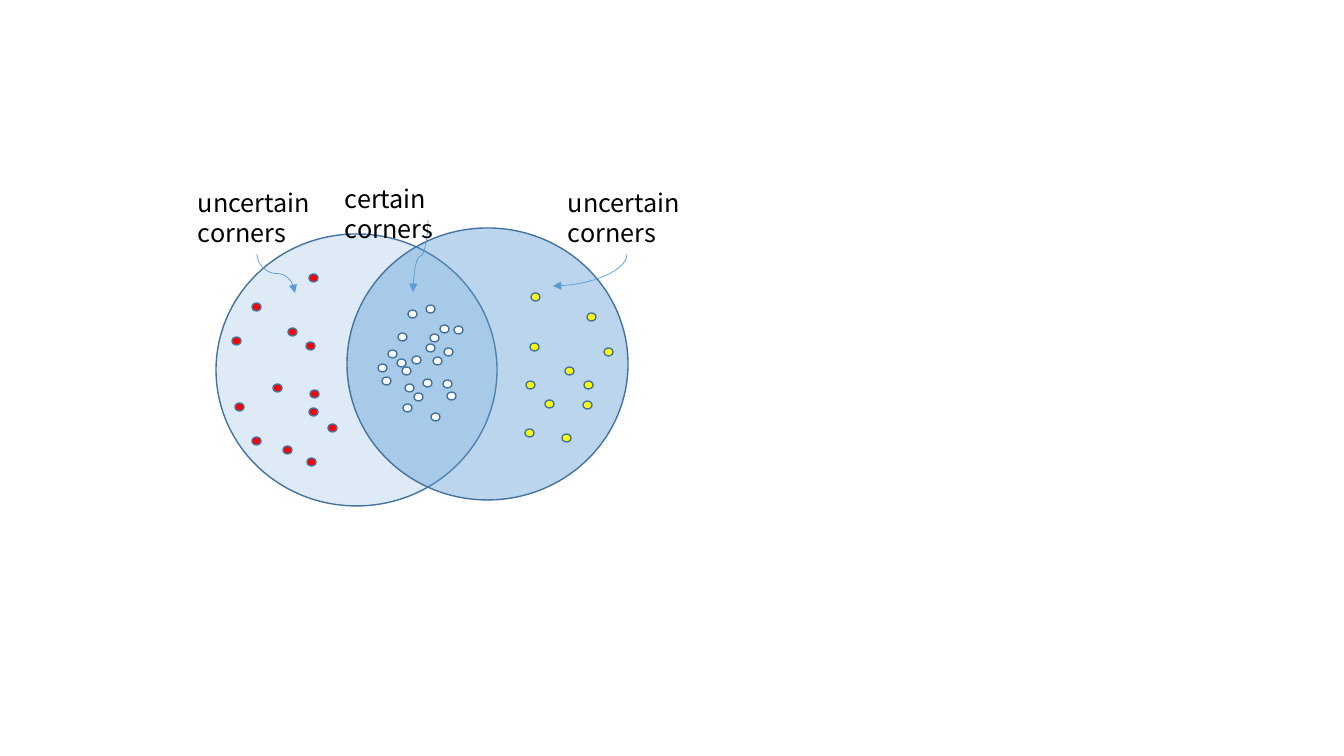
"""Build a slide showing certain and uncertain corners as two overlapping sets."""
from dataclasses import dataclass
from typing import Any

from lxml import etree
from pptx import Presentation
from pptx.dml.color import RGBColor
from pptx.enum.shapes import MSO_CONNECTOR, MSO_SHAPE
from pptx.enum.text import MSO_AUTO_SIZE
from pptx.oxml.ns import qn
from pptx.shapes.autoshape import Shape
from pptx.shapes.shapetree import GroupShapes
from pptx.util import Emu, Pt

CIRCLE = MSO_SHAPE.OVAL
DOT = MSO_SHAPE.FLOWCHART_CONNECTOR
CURVE = MSO_CONNECTOR.CURVE
GROW = MSO_AUTO_SIZE.SHAPE_TO_FIT_TEXT
SCALE = 914400 / 100.8
DOT_SIZE = (9, 8)
CIRCLE_SIZE = (281, 272)
COLOURS = {
    "pale": "DEEBF7", "blue": "5B9BD5", "outline": "43739E", "black": "000000",
    "white": "FFFFFF", "red": "FF0000", "yellow": "FFFF00",
}
FONT_FORMAT = {"name": "Noto Sans CJK SC", "size": Pt(18)}
FRAME_FORMAT = {"word_wrap": True, "auto_size": GROW}


@dataclass(frozen=True)
class CornerSet:
    colour: str
    places: list[tuple[int, int]]


@dataclass(frozen=True)
class Label:
    lines: list[str]
    left: int
    top: int
    width: int
    height: int


@dataclass(frozen=True)
class Arrow:
    start: tuple[int, int]
    end: tuple[int, int]
    preset: str = "curvedConnector3"


CORNER_SETS = [
    CornerSet("red", [
        (309, 274), (306, 342), (252, 303), (273, 384), (232, 337), (283, 446), (288, 328),
        (309, 408), (328, 424), (310, 390), (307, 458), (252, 437), (235, 403),
    ]),
    CornerSet("white", [
        (444, 348), (426, 305), (423, 379), (398, 333), (414, 393), (397, 359), (433, 357),
        (408, 310), (405, 384), (388, 350), (403, 404), (378, 364), (440, 325), (412, 356),
        (447, 392), (430, 334), (402, 367), (454, 326), (431, 413), (443, 380), (426, 344),
        (382, 377),
    ]),
    CornerSet("yellow", [
        (604, 348), (587, 313), (584, 381), (531, 293), (530, 343), (583, 401), (565, 367),
        (562, 434), (545, 400), (526, 381), (525, 429),
    ]),
]
ARROWS = [
    Arrow((627, 254), (553, 286), "curvedConnector2"),
    Arrow((428, 220), (413, 292)),
    Arrow((257, 254), (295, 293)),
]
LABELS = [
    Label(["uncertain", "corners"], 188, 182, 137, 72),
    Label(["uncertain", "corners"], 558, 182, 137, 72),
    Label(["certain corners"], 335, 178, 186, 40),
]


def px(value: float) -> Emu:
    """Turn pixels into EMU."""
    return Emu(round(value * SCALE))


def colour(name: str) -> RGBColor:
    """Look up a named colour."""
    return RGBColor.from_string(COLOURS[name])


def apply_format(target: Any, values: dict[str, Any]) -> None:
    """Set each format value on the target."""
    for name, value in values.items():
        setattr(target, name, value)


def draw_shape(shapes: GroupShapes, kind: MSO_SHAPE, place: tuple[int, int],
               size: tuple[int, int], fill: str) -> Shape:
    """Draw a filled, outlined preset shape."""
    shape = shapes.add_shape(kind, *map(px, (*place, *size)))
    shape.shadow.inherit = False
    shape.fill.solid()
    shape.fill.fore_color.rgb = colour(fill)
    shape.line.color.rgb = colour("outline")
    shape.line.width = Pt(1)
    return shape


def set_opacity(shape: Shape, percent: int) -> None:
    """Make the solid fill of a shape see-through."""
    fill_colour = shape.element.spPr.find(qn("a:solidFill"))[0]
    etree.SubElement(fill_colour, qn("a:alpha"), val=str(percent * 1000))


def draw_arrow(shapes: GroupShapes, arrow: Arrow) -> None:
    """Draw a curved arrow that leaves its start downwards."""
    (start_x, start_y), (end_x, end_y) = arrow.start, arrow.end
    middle_x, middle_y = (start_x + end_x) / 2, (start_y + end_y) / 2
    half_width, half_height = (end_y - start_y) / 2, abs(end_x - start_x) / 2
    rotation = 90
    if end_x > start_x:
        rotation, half_width = 270, -half_width
    connector = shapes.add_connector(
        CURVE, px(middle_x - half_width), px(middle_y - half_height),
        px(middle_x + half_width), px(middle_y + half_height))
    connector.line.color.rgb = colour("blue")
    connector.line.width = Pt(0.5)
    properties = connector.element.spPr
    properties.find(qn("a:xfrm")).set("rot", str(rotation * 60000))
    properties.find(qn("a:prstGeom")).set("prst", arrow.preset)
    etree.SubElement(properties.find(qn("a:ln")), qn("a:tailEnd"), type="triangle")
    etree.SubElement(properties, qn("a:effectLst"))


def draw_label(shapes: GroupShapes, label: Label) -> None:
    """Write a label, one paragraph a line."""
    box = shapes.add_textbox(*map(px, (label.left, label.top, label.width, label.height)))
    frame = box.text_frame
    apply_format(frame, FRAME_FORMAT)
    frame.text = "\n".join(label.lines)
    for para in frame.paragraphs:
        for span in para.runs:
            apply_format(span.font, FONT_FORMAT)
            span.font.color.rgb = colour("black")


def main() -> None:
    """Build and save the deck."""
    deck = Presentation()
    deck.slide_width, deck.slide_height = px(1344), px(756)
    page = deck.slides.add_slide(deck.slide_layouts[6])
    diagram = page.shapes.add_group_shape().shapes
    draw_shape(diagram, CIRCLE, (216, 234), CIRCLE_SIZE, "pale")
    right_circle = draw_shape(diagram, CIRCLE, (347, 228), CIRCLE_SIZE, "blue")
    set_opacity(right_circle, 41)
    for corner_set in CORNER_SETS:
        for place in corner_set.places:
            draw_shape(diagram, DOT, place, DOT_SIZE, corner_set.colour)
    for arrow in ARROWS:
        draw_arrow(diagram, arrow)
    for label in LABELS:
        draw_label(diagram, label)
    deck.save("out.pptx")


main()
